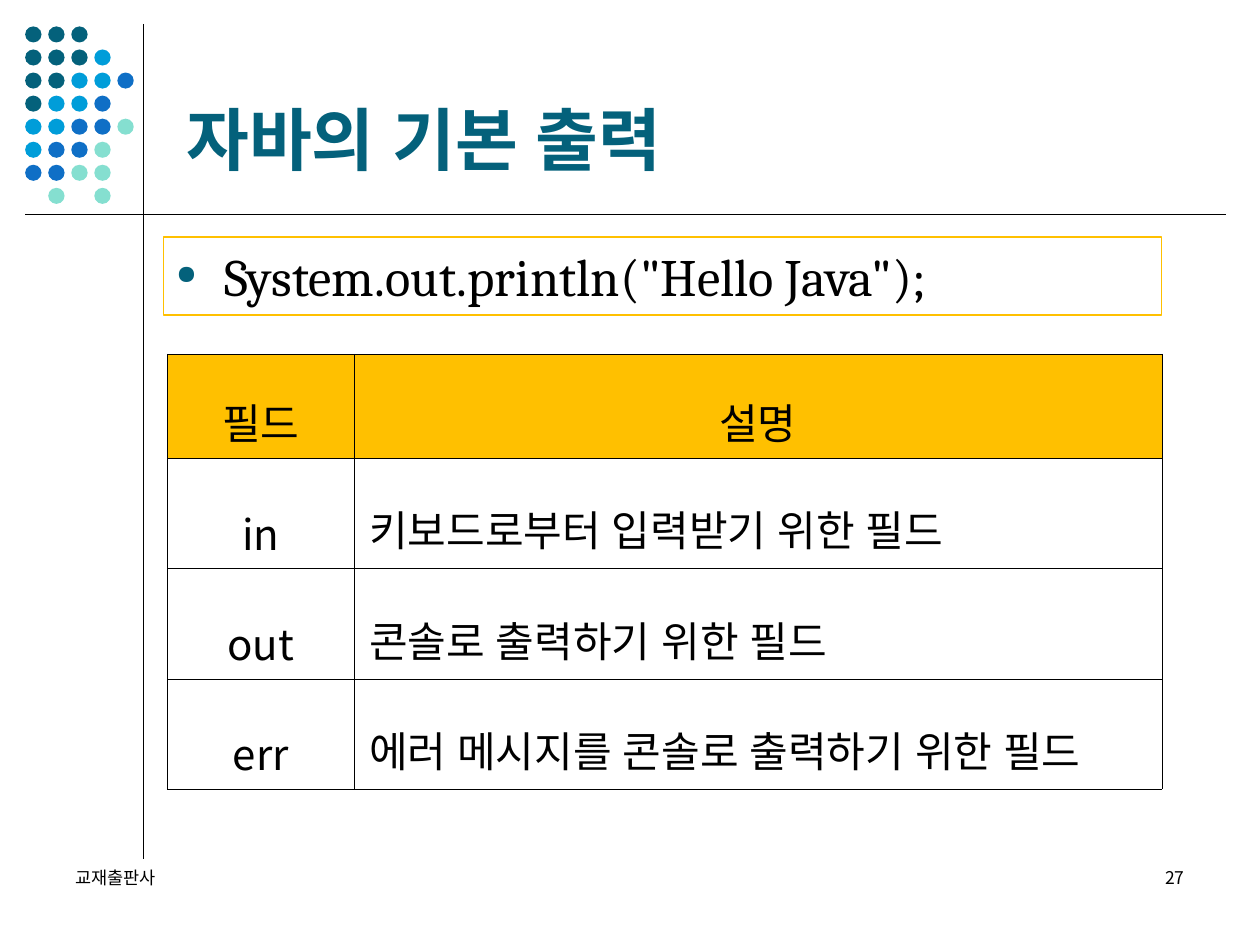
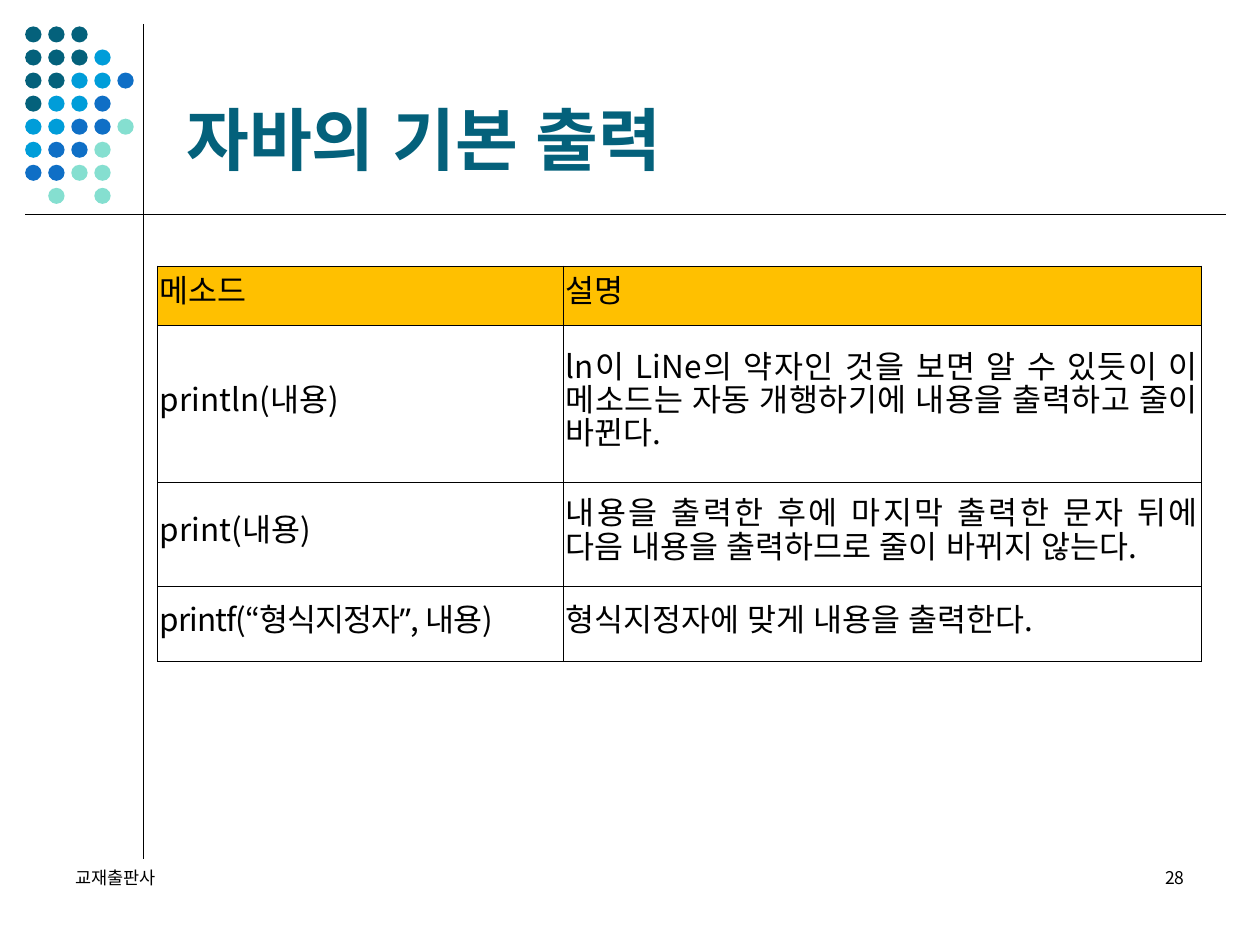
from dataclasses import dataclass

from lxml import etree
from pptx import Presentation
from pptx import util as u
from pptx.dml.color import RGBColor
from pptx.enum import shapes, text
from pptx.oxml import ns

WIDE, HIGH = u.Inches(10), u.Inches(7.5)


@dataclass(frozen=True)
class Theme:
    ink: str = "000000"
    teal: str = "04617B"
    sky: str = "009DD9"
    blue: str = "0F6FC6"
    mint: str = "85DFD0"
    gold: str = "FFC000"
    sans: str = "Noto Sans"
    serif: str = "Cambria"
    hangul: str = "Noto Sans CJK KR"
    title: int = 39
    code: int = 30
    large: int = 24
    body: int = 18
    small: int = 10


THEME = Theme()
LEFT, MID, RIGHT, JUST = (text.PP_ALIGN.LEFT, text.PP_ALIGN.CENTER,
                          text.PP_ALIGN.RIGHT, text.PP_ALIGN.JUSTIFY)
TOP, CORE, BASE = (text.MSO_ANCHOR.TOP, text.MSO_ANCHOR.MIDDLE,
                   text.MSO_ANCHOR.BOTTOM)

# One letter per dot colour, one string per row
DOTS = ["ttt", "ttts", "ttssb", "tssb", "ssbbm", "sbbm", "bbmm", " m m"]
HUES = {"t": THEME.teal, "s": THEME.sky, "b": THEME.blue, "m": THEME.mint}


# Lengths are percentages of the slide's width and height
def across(share):
    return int(WIDE * share / 100)


def down(share):
    return int(HIGH * share / 100)


def area(left, top, width, height):
    return across(left), down(top), across(width), down(height)


def color(code):
    return RGBColor.from_string(code)


def node(parent, tag, **attrs):
    return etree.SubElement(parent, ns.qn(tag), **attrs)


def bullet(para):
    props = para._p.get_or_add_pPr()
    indent = u.Inches(0.38)
    props.set("marL", str(indent))
    props.set("indent", str(-indent))
    node(node(props, "a:buClr"), "a:srgbClr", val=THEME.teal)
    node(props, "a:buSzPct", val="50000")
    node(props, "a:buChar", char="●")


def write(frame, words, size=THEME.body, font=THEME.hangul, hue=THEME.ink,
          bold=False, align=LEFT, lead=None, mark=False, track=0):
    para = frame.paragraphs[0]
    para.alignment = align
    if lead:
        para.line_spacing = lead
    if mark:
        bullet(para)
    run = para.add_run()
    run.text = words
    run.font.size, run.font.name, run.font.bold = u.Pt(size), font, bold
    run.font.color.rgb = color(hue)
    props = run._r.get_or_add_rPr()
    node(props, "a:ea", typeface=THEME.sans)
    if track:
        props.set("spc", str(track))


def set_up(frame, anchor):
    frame.word_wrap = True
    frame.auto_size = text.MSO_AUTO_SIZE.NONE
    frame.vertical_anchor = anchor


# Frame shared by all slides
def rule(slide, x1, y1, x2, y2):
    line = slide.shapes.add_connector(
        shapes.MSO_CONNECTOR.STRAIGHT,
        across(x1), down(y1), across(x2), down(y2))
    line.line.color.rgb = color(THEME.ink)
    line.line.width = u.Pt(0.75)
    node(line._element.spPr, "a:effectLst")
    return line


def dots(slide):
    group = slide.shapes.add_group_shape()
    for row, hues in enumerate(DOTS):
        for col, key in enumerate(hues):
            if key == " ":
                continue
            dot = group.shapes.add_shape(
                shapes.MSO_SHAPE.OVAL,
                *area(2 + 1.83 * col, 2.8 + 2.44 * row, 1.3, 1.7))
            dot.shadow.inherit = False
            dot.fill.solid()
            dot.fill.fore_color.rgb = color(HUES[key])
            dot.line.fill.background()
    return group


def backdrop(slide):
    """Draw the rules and dots, then hand them to the slide's layout."""
    parts = [rule(slide, 11.4, 2.53, 11.4, 90.93), dots(slide),
             rule(slide, 2, 22.67, 97.3, 22.67)]
    for part in parts:
        slide.slide_layout.shapes.element.append(part.element)


def header(slide, words):
    title = slide.shapes.title
    title.left, title.top, title.width, title.height = area(
        13.8, 2.8, 82.5, 16.8)
    set_up(title.text_frame, BASE)
    write(title.text_frame, words, size=THEME.title, font=THEME.sans,
          hue=THEME.teal, bold=True)


def footer(slide, number):
    for left, words, align in ((5, "교재출판사", LEFT),
                               (71.7, str(number), RIGHT)):
        box = slide.shapes.add_textbox(*area(left, 91.07, 23.3, 6.67))
        set_up(box.text_frame, TOP)
        write(box.text_frame, words, size=THEME.small, align=align)


# Content parts
def code_box(slide, words):
    box = slide.shapes.add_shape(shapes.MSO_SHAPE.RECTANGLE,
                                 *area(13, 25.07, 79.2, 8.27))
    box.shadow.inherit = False
    box.fill.background()
    box.line.color.rgb = color(THEME.gold)
    box.line.width = u.Pt(0.75)
    set_up(box.text_frame, CORE)
    write(box.text_frame, words, size=THEME.code, font=THEME.serif, mark=True)


def border(cell):
    props = cell._tc.get_or_add_tcPr()
    for spot, side in enumerate(("a:lnL", "a:lnR", "a:lnT", "a:lnB")):
        edge = node(props, side, w=str(u.Pt(0.11)))
        node(node(edge, "a:solidFill"), "a:srgbClr", val=THEME.ink)
        props.insert(spot, edge)


def table(slide, left, top, cols, rows, data, aligns, pad=0.02, **style):
    """Gold first row; aligns are per column, pad insets the last column."""
    grid = slide.shapes.add_table(
        len(rows), len(cols), *area(left, top, sum(cols), sum(rows))).table
    grid.first_row = grid.horz_banding = False
    for col, share in zip(grid.columns, cols):
        col.width = across(share)
    for row, share in zip(grid.rows, rows):
        row.height = down(share)
    for r, line in enumerate(data):
        for c, words in enumerate(line):
            cell = grid.cell(r, c)
            cell.vertical_anchor = CORE
            cell.margin_left = cell.margin_right = u.Inches(0.02)
            if r == 0:
                cell.fill.solid()
                cell.fill.fore_color.rgb = color(THEME.gold)
            else:
                cell.fill.background()
                if c == len(cols) - 1:
                    cell.margin_left = u.Inches(pad)
            border(cell)
            # Tighten a long label so that it stays on one line
            track = -60 if c == 0 and len(words) > 15 else 0
            align = aligns[0] if r == 0 else aligns[c]
            write(cell.text_frame, words, align=align, track=track, **style)


def main():
    prs = Presentation()
    prs.slide_width, prs.slide_height = WIDE, HIGH
    pages = [prs.slides.add_slide(prs.slide_layouts[5]) for _ in range(2)]
    backdrop(pages[0])
    for number, page in enumerate(pages, 27):
        header(page, "자바의 기본 출력")
        footer(page, number)
    fields, methods = pages

    # Output statement and the fields
    code_box(fields, 'System.out.println("Hello Java");')
    table(fields, 13.3, 37.47, [14.8, 64.1], [9.07] * 4, [
        ("필드", "설명"),
        ("in", "키보드로부터 입력받기 위한 필드"),
        ("out", "콘솔로 출력하기 위한 필드"),
        ("err", "에러 메시지를 콘솔로 출력하기 위한 필드"),
    ], (MID, JUST), pad=0.12, size=THEME.large, lead=1.6)

    # Print methods
    table(methods, 12.5, 28.13, [32.2, 50.6], [6.27, 16.67, 10.93, 8], [
        ("메소드", "설명"),
        ("println(내용)", "ln이 LiNe의 약자인 것을 보면 알 수 있듯이 이 메소드는 "
                        "자동 개행하기에 내용을 출력하고 줄이 바뀐다."),
        ("print(내용)", "내용을 출력한 후에 마지막 출력한 문자 뒤에 다음 내용을 "
                      "출력하므로 줄이 바뀌지 않는다."),
        ("printf(“형식지정자”, 내용)", "형식지정자에 맞게 내용을 출력한다."),
    ], (JUST, JUST), lead=u.Pt(19))

    prs.save("out.pptx")


if __name__ == "__main__":
    main()
